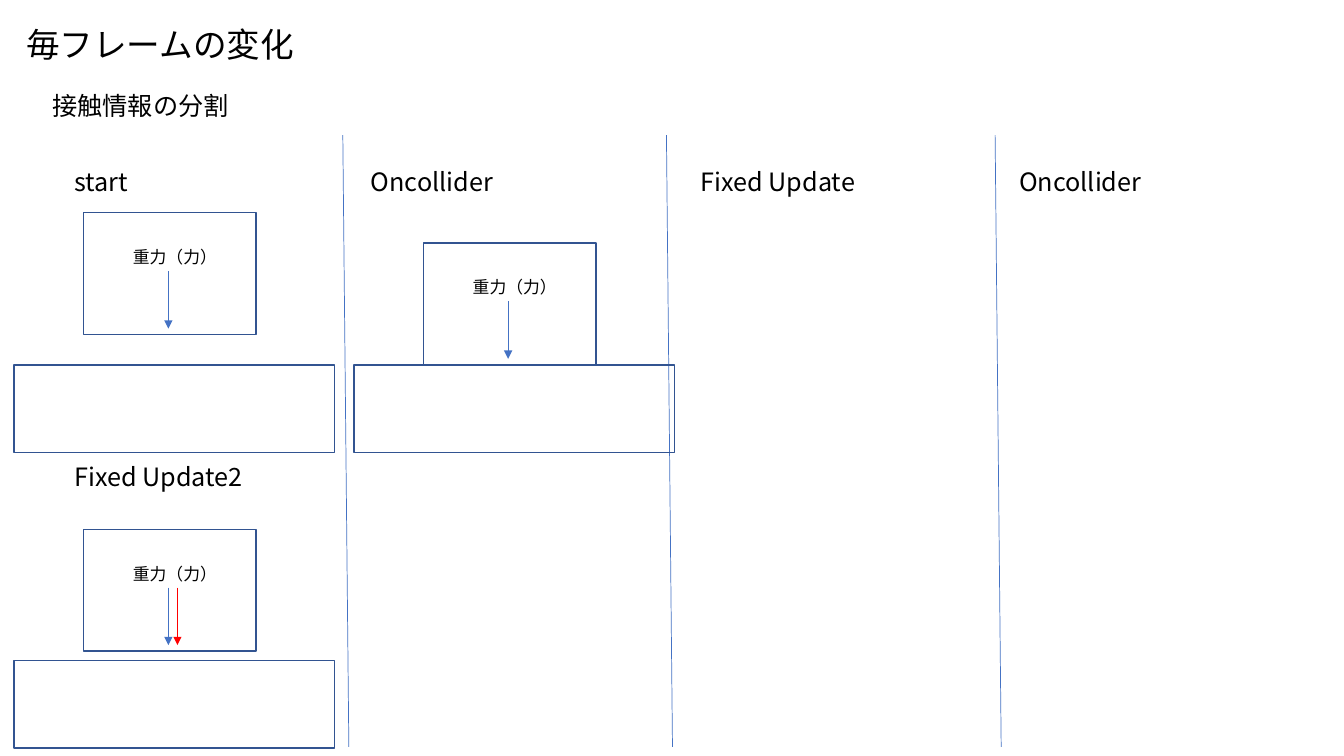
from lxml import etree
from pptx import Presentation
from pptx.dml.color import RGBColor
from pptx.enum.shapes import MSO_CONNECTOR, MSO_SHAPE
from pptx.enum.text import MSO_AUTO_SIZE
from pptx.oxml.ns import qn
from pptx.util import Inches, Pt

STRAIGHT = MSO_CONNECTOR.STRAIGHT
RECTANGLE = MSO_SHAPE.RECTANGLE
GROW = MSO_AUTO_SIZE.SHAPE_TO_FIT_TEXT

FONT = "Noto Sans CJK JP"
BLACK, OUTLINE, BLUE, RED = "000000", "325491", "4472C4", "FF0000"


def color(hex_code):
    return RGBColor.from_string(hex_code)


def add_text(slide, text, left, top, width=2.12, height=0.4, size=18):
    box = slide.shapes.add_textbox(
        Inches(left), Inches(top), Inches(width), Inches(height))
    frame = box.text_frame
    frame.word_wrap = True
    frame.auto_size = GROW
    run = frame.paragraphs[0].add_run()
    run.text = text
    run.font.size = Pt(size)
    run.font.name = FONT
    run.font.color.rgb = color(BLACK)
    # Japanese glyphs use the East Asian font slot
    east_asian = etree.SubElement(run.font._element, qn("a:ea"))
    east_asian.set("typeface", FONT)


def add_box(slide, left, top, width, height):
    box = slide.shapes.add_shape(
        RECTANGLE, Inches(left), Inches(top), Inches(width), Inches(height))
    box.shadow.inherit = False
    box.fill.background()
    box.line.color.rgb = color(OUTLINE)
    box.line.width = Pt(1)


def add_line(slide, x1, y1, x2, y2, line_color=BLUE, arrow=False):
    line = slide.shapes.add_connector(
        STRAIGHT, Inches(x1), Inches(y1), Inches(x2), Inches(y2))
    line.line.color.rgb = color(line_color)
    line.line.width = Pt(0.5)
    if arrow:
        tail = etree.SubElement(line.line._get_or_add_ln(), qn("a:tailEnd"))
        tail.set("type", "triangle")
    etree.SubElement(line._element.spPr, qn("a:effectLst"))


def add_falling_body(slide, left, top, force_colors=(BLUE,)):
    """Body with its gravity label and one downward arrow per force."""
    add_box(slide, left, top, 1.71, 1.21)
    add_text(slide, "重力（力）", left + 0.39, top + 0.29, 1.15, 0.3, size=12)
    for i, force_color in enumerate(force_colors):
        x = left + 0.84 + 0.09 * i
        add_line(slide, x, top + 0.58, x, top + 1.15, force_color, arrow=True)


def add_ground(slide, left, top):
    add_box(slide, left, top, 3.18, 0.87)


def main():
    prs = Presentation()
    prs.slide_width, prs.slide_height = Inches(13.33), Inches(7.5)
    slide = prs.slides.add_slide(prs.slide_layouts[6])

    # Headings
    add_text(slide, "毎フレームの変化", 0.16, 0.19, 3.06, 0.5, size=24)
    add_text(slide, "接触情報の分割", 0.42, 0.85)

    # Slightly slanted column dividers
    for x in (3.4, 6.61, 9.87):
        add_line(slide, x, 1.34, x + 0.06, 7.41)

    # Phase titles
    for phase, left, top in (
        ("start", 0.64, 1.6),
        ("Oncollider", 3.58, 1.6),
        ("Fixed Update", 6.85, 1.6),
        ("Oncollider", 10.01, 1.6),
        ("Fixed Update2", 0.64, 4.53),
    ):
        add_text(slide, phase, left, top)

    # Start: body above the ground
    add_falling_body(slide, 0.83, 2.11)
    add_ground(slide, 0.14, 3.62)

    # Oncollider: body touches the ground
    add_falling_body(slide, 4.2, 2.41)
    add_ground(slide, 3.51, 3.62)

    # Fixed Update2: a second force acts on the body
    add_falling_body(slide, 0.83, 5.25, (BLUE, RED))
    add_ground(slide, 0.14, 6.55)

    prs.save("out.pptx")


if __name__ == "__main__":
    main()
